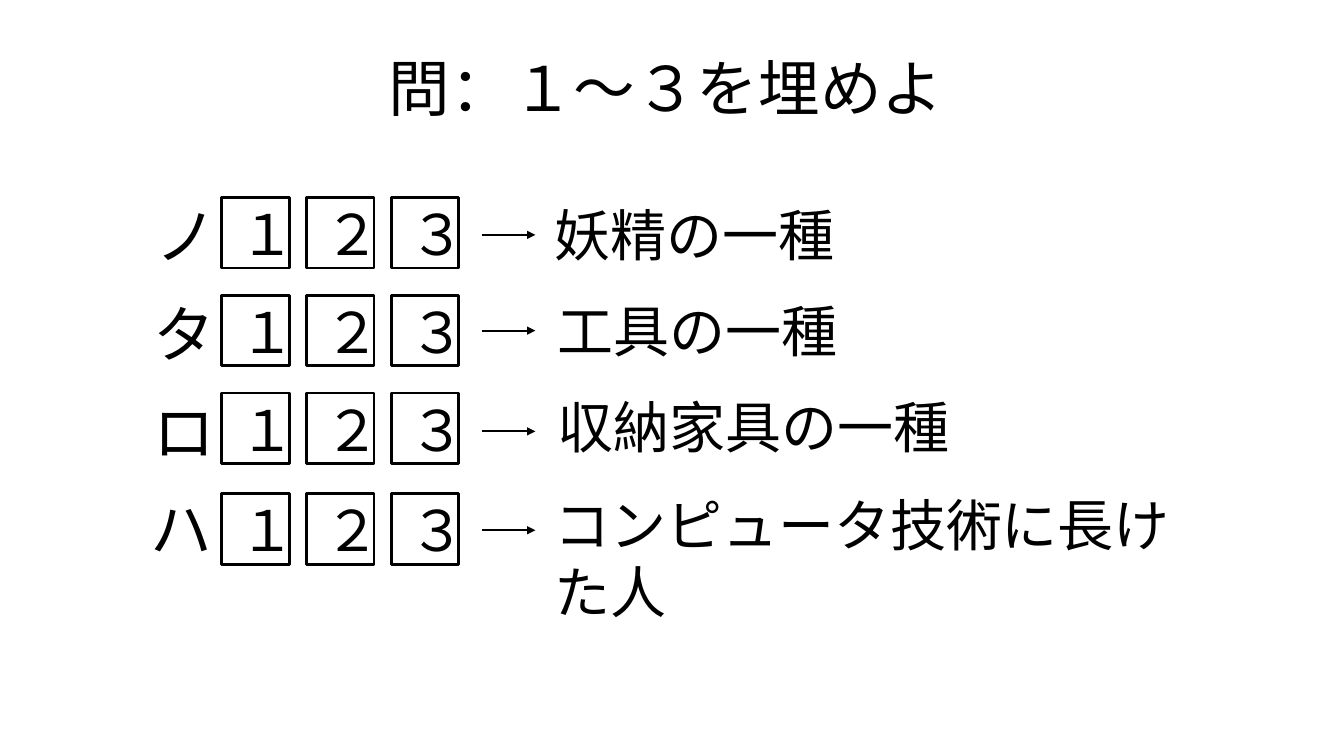
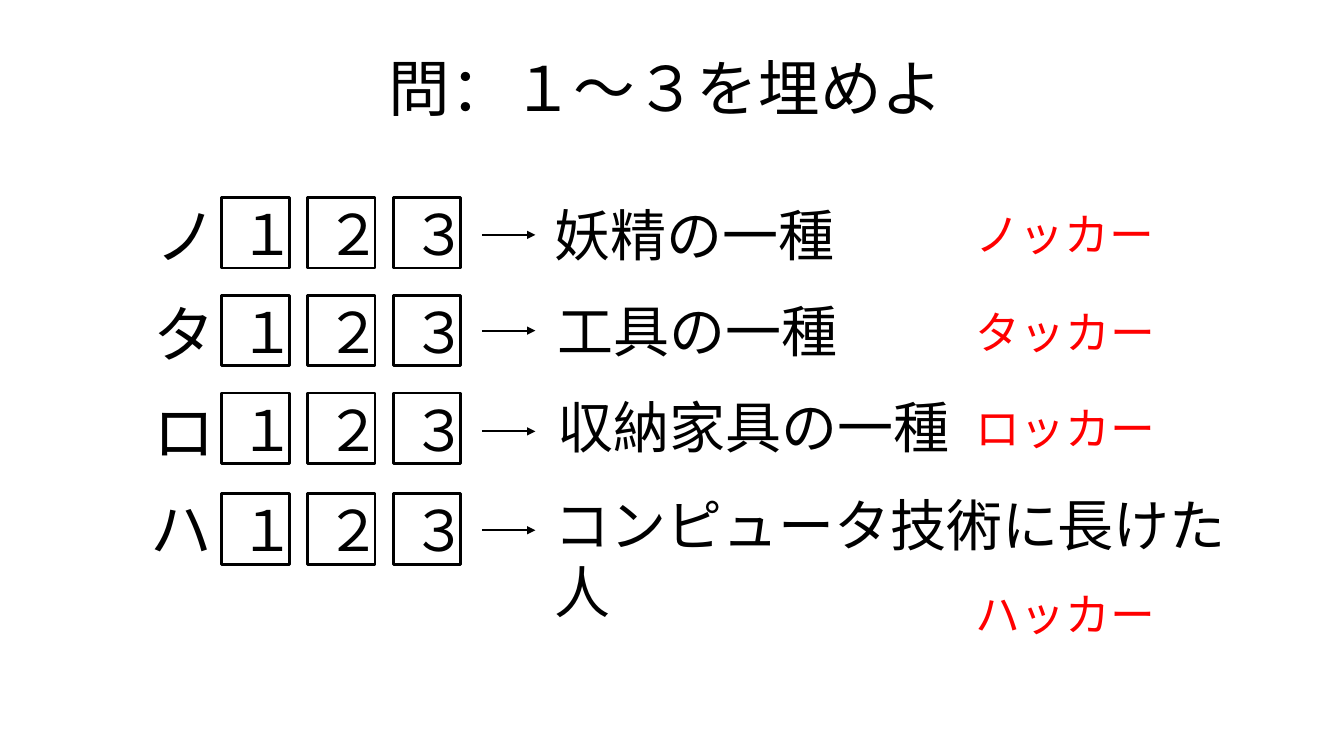
from dataclasses import dataclass

from pptx import Presentation
from pptx.dml.color import RGBColor
from pptx.enum.shapes import MSO_CONNECTOR, MSO_SHAPE
from pptx.enum.text import MSO_ANCHOR, MSO_AUTO_SIZE, PP_ALIGN
from pptx.oxml.ns import qn
from pptx.util import Inches, Pt
from lxml.etree import SubElement

BLACK = RGBColor(0, 0, 0)
RED = RGBColor(255, 0, 0)
FONT = "Calibri"
QUESTION = "問:1~3を埋めよ".translate(str.maketrans(":1~3", "\uff1a\uff11\uff5e\uff13"))
DIGITS = "\uff11\uff12\uff13"


@dataclass
class Clue:
    kana: str
    kana_left: float
    kana_top: float
    kana_width: float
    cell_top: float
    arrow_y: float
    meaning: str
    meaning_left: float
    meaning_top: float
    answer: str
    answer_top: float


CLUES = [
    Clue("ノ", 1.44, 1.91, 0.64, 1.96, 2.33, "妖精の一種", 5.4, 1.94, "ノッカー", 2.0),
    Clue("タ", 1.42, 2.89, 0.68, 2.93, 3.28, "工具の一種", 5.43, 2.89, "タッカー", 2.97),
    Clue("ロ", 1.42, 3.86, 0.73, 3.9, 4.28, "収納家具の一種", 5.43, 3.84, "ロッカー", 3.93),
    Clue("ハ", 1.39, 4.82, 0.82, 4.9, 5.26, "コンピュータ技術に長けた人", 5.4, 4.82, "ハッカー", 5.77),
]


class Quiz:
    def __init__(self):
        self.deck = Presentation()
        self.deck.slide_width = Inches(13.33)
        self.deck.slide_height = Inches(7.5)

    def new_slide(self):
        self.slide = self.deck.slides.add_slide(self.deck.slide_layouts[6])

    def text(self, words, left, top, width, height, size=40, color=BLACK,
             align=PP_ALIGN.LEFT, wrap=True, parent=None):
        box = (parent or self.slide).shapes.add_textbox(
            Inches(left), Inches(top), Inches(width), Inches(height))
        frame = box.text_frame
        frame.text = words
        frame.word_wrap = wrap
        frame.auto_size = MSO_AUTO_SIZE.SHAPE_TO_FIT_TEXT
        paragraph = frame.paragraphs[0]
        paragraph.alignment = align
        font = paragraph.runs[0].font
        font.name = FONT
        font.size = Pt(size)
        font.color.rgb = color
        return frame

    def title(self, words):
        frame = self.text(words, 0.86, 0.18, 11.5, 1.45, 44, align=PP_ALIGN.CENTER)
        frame.auto_size = MSO_AUTO_SIZE.NONE
        frame.vertical_anchor = MSO_ANCHOR.MIDDLE
        frame.paragraphs[0].line_spacing = 0.9

    def cells(self, top, pitch):
        row = self.slide.shapes.add_group_shape()
        lefts = [2.2 + column * pitch for column in range(len(DIGITS))]
        for left in lefts:
            cell = row.shapes.add_shape(
                MSO_SHAPE.RECTANGLE, Inches(left), Inches(top), Inches(0.67), Inches(0.7))
            cell.shadow.inherit = False
            cell.fill.background()
            cell.line.color.rgb = BLACK
            cell.line.width = Pt(2)
        for digit, left in zip(DIGITS, lefts):
            self.text(digit, left + 0.08, top - 0.03, 0.5, 0.77,
                      align=PP_ALIGN.CENTER, parent=row)

    def arrow(self, y):
        arrow = self.slide.shapes.add_connector(
            MSO_CONNECTOR.STRAIGHT, Inches(4.78), Inches(y), Inches(5.31), Inches(y))
        arrow.line.color.rgb = BLACK
        arrow.line.width = Pt(1.5)
        SubElement(arrow.line._get_or_add_ln(), qn("a:tailEnd"), type="triangle")
        SubElement(arrow._element.spPr, qn("a:effectLst"))

    def puzzle(self, pitch, meaning_width):
        self.new_slide()
        self.title(QUESTION)
        for clue in CLUES:
            self.cells(clue.cell_top, pitch)
            self.text(clue.kana, clue.kana_left, clue.kana_top, clue.kana_width, 0.84,
                      44, align=PP_ALIGN.CENTER, wrap=False)
            self.arrow(clue.arrow_y)
            width = meaning_width if clue is CLUES[-1] else 5.3
            self.text(clue.meaning, clue.meaning_left, clue.meaning_top, width, 0.77)

    def answers(self):
        for clue in CLUES:
            self.text(clue.answer, 9.58, clue.answer_top, 2.11, 0.64, 32, RED)


quiz = Quiz()
quiz.puzzle(pitch=0.84, meaning_width=6.8)
quiz.puzzle(pitch=0.85, meaning_width=6.88)
quiz.answers()
quiz.deck.save("out.pptx")
